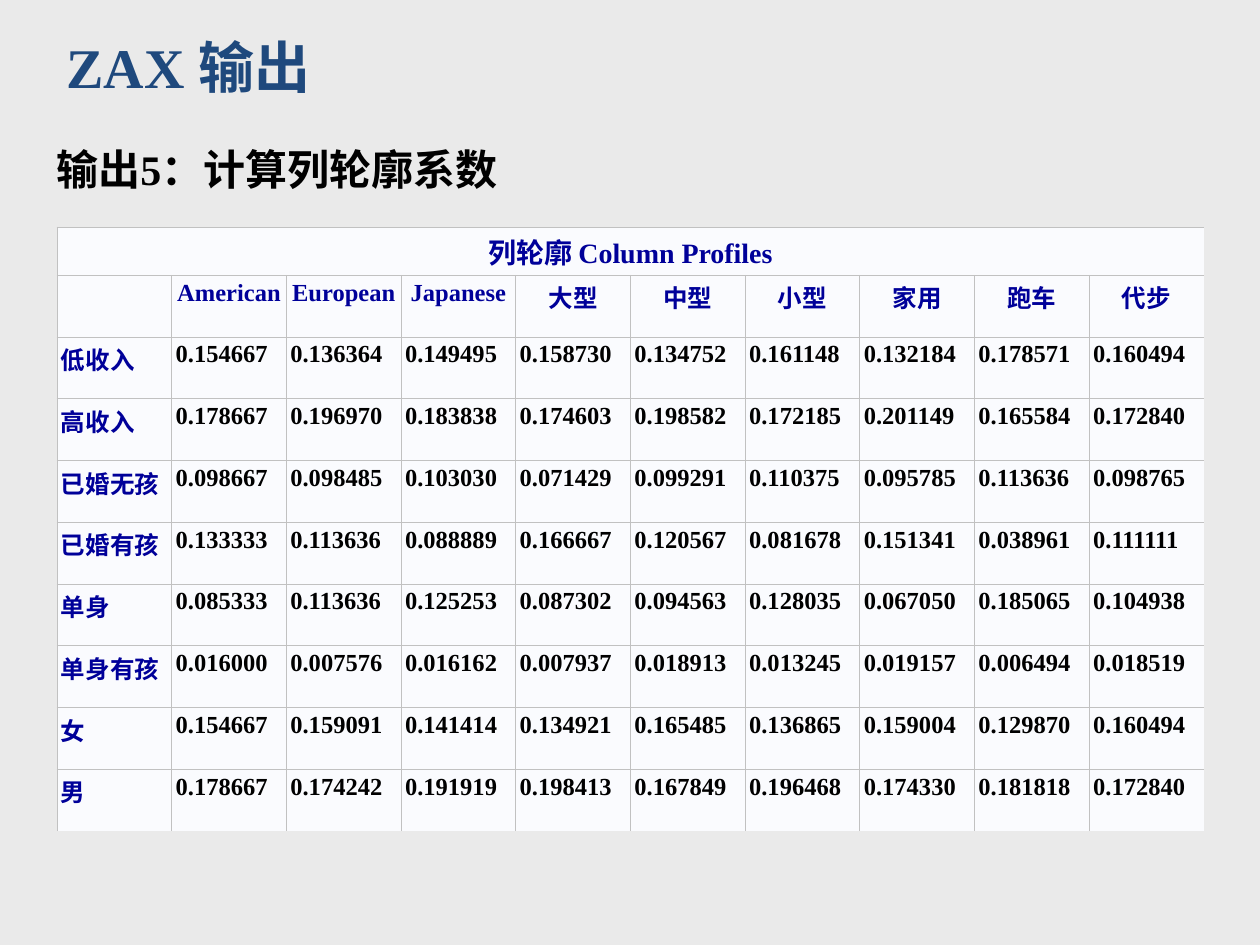
from lxml import etree
from pptx import Presentation
from pptx import util as u
from pptx.dml.color import RGBColor
from pptx.enum import text
from pptx.oxml.ns import qn

COLORS = {
    "background": "EAEAEA",
    "title": "1F497D",
    "body": "000000",
    "label": "000099",
    "cell": "FAFBFE",
    "border": "C1C1C1",
}
SERIF = "Times New Roman"

TITLE = [("ZAX ", SERIF), ("输出", "Arial")]
SUBTITLE = [("输出5：计算列轮廓系数", SERIF)]
TABLE_TITLE = "列轮廓 Column Profiles"
COLUMNS = ["American", "European", "Japanese", "大型", "中型", "小型", "家用", "跑车", "代步"]
PROFILES = {
    "低收入": "0.154667 0.136364 0.149495 0.158730 0.134752 0.161148 0.132184 0.178571 0.160494",
    "高收入": "0.178667 0.196970 0.183838 0.174603 0.198582 0.172185 0.201149 0.165584 0.172840",
    "已婚无孩": "0.098667 0.098485 0.103030 0.071429 0.099291 0.110375 0.095785 0.113636 0.098765",
    "已婚有孩": "0.133333 0.113636 0.088889 0.166667 0.120567 0.081678 0.151341 0.038961 0.111111",
    "单身": "0.085333 0.113636 0.125253 0.087302 0.094563 0.128035 0.067050 0.185065 0.104938",
    "单身有孩": "0.016000 0.007576 0.016162 0.007937 0.018913 0.013245 0.019157 0.006494 0.018519",
    "女": "0.154667 0.159091 0.141414 0.134921 0.165485 0.136865 0.159004 0.129870 0.160494",
    "男": "0.178667 0.174242 0.191919 0.198413 0.167849 0.196468 0.174330 0.181818 0.172840",
}
TABLE_BOX = (57, 227, 1147, 598)
TITLE_ROW_HEIGHT = 42
CELL_MARGIN = 4


def px(length):
    return u.Emu(round(length * 914400 / 126))


def set_font(font, size, color, name=SERIF):
    font.size, font.bold, font.name = u.Pt(size), True, name
    font.color.rgb = RGBColor.from_string(COLORS[color])


def add_heading(slide, box, runs, size, color):
    frame = slide.shapes.add_textbox(*map(px, box)).text_frame
    frame.word_wrap = True
    paragraph = frame.paragraphs[0]
    for words, font_name in runs:
        run = paragraph.add_run()
        run.text = words
        set_font(run.font, size, color, font_name)


def set_borders(cell, sides):
    """Draw the sides named in `sides` (L, R, T, B) and hide the others."""
    properties = cell._tc.get_or_add_tcPr()
    for index, side in enumerate("LRTB"):
        line = etree.Element(qn(f"a:ln{side}"), w=str(u.Pt(0.6)))
        if side in sides:
            fill = etree.SubElement(line, qn("a:solidFill"))
            etree.SubElement(fill, qn("a:srgbClr"), val=COLORS["border"])
        else:
            etree.SubElement(line, qn("a:noFill"))
        properties.insert(index, line)


def fill_cell(cell, words, size, color, centered):
    cell.margin_left = cell.margin_right = px(CELL_MARGIN)
    cell.margin_top = cell.margin_bottom = px(CELL_MARGIN)
    paragraph = cell.text_frame.paragraphs[0]
    paragraph.text = words
    paragraph.alignment = text.PP_ALIGN.CENTER if centered else text.PP_ALIGN.LEFT
    set_font(paragraph.font, size, color)


def add_profile_table(slide):
    rows = [[TABLE_TITLE] + [""] * len(COLUMNS), [""] + COLUMNS]
    rows += [[label, *values.split()] for label, values in PROFILES.items()]
    last_row, last_column = len(rows) - 1, len(COLUMNS)
    table = slide.shapes.add_table(len(rows), last_column + 1, *map(px, TABLE_BOX)).table
    table.first_row = table.horz_banding = False

    for column in table.columns:
        column.width = px(TABLE_BOX[2] / (last_column + 1))
    for row in table.rows:
        row.height = px((TABLE_BOX[3] - TITLE_ROW_HEIGHT) / last_row)
    table.rows[0].height = px(TITLE_ROW_HEIGHT)
    table.cell(0, 0).merge(table.cell(0, last_column))

    for r, row in enumerate(rows):
        for c, words in enumerate(row):
            cell = table.cell(r, c)
            cell.fill.solid()
            cell.fill.fore_color.rgb = RGBColor.from_string(COLORS["cell"])
            is_label = r < 2 or c == 0
            fill_cell(cell, words, 14 if r else 16, "label" if is_label else "body", r < 2)
            right = "" if r == 0 or c == last_column else "R"
            bottom = "" if r == last_row else "B"
            set_borders(cell, "LT" + right + bottom)


def main():
    presentation = Presentation()
    presentation.slide_width, presentation.slide_height = px(1260), px(945)
    slide = presentation.slides.add_slide(presentation.slide_layouts[6])
    background = slide.background.fill
    background.solid()
    background.fore_color.rgb = RGBColor.from_string(COLORS["background"])

    add_profile_table(slide)
    add_heading(slide, (54, 26, 751, 81), TITLE, 32, "title")
    add_heading(slide, (44, 137, 537, 63), SUBTITLE, 24, "body")
    presentation.save("out.pptx")


if __name__ == "__main__":
    main()
